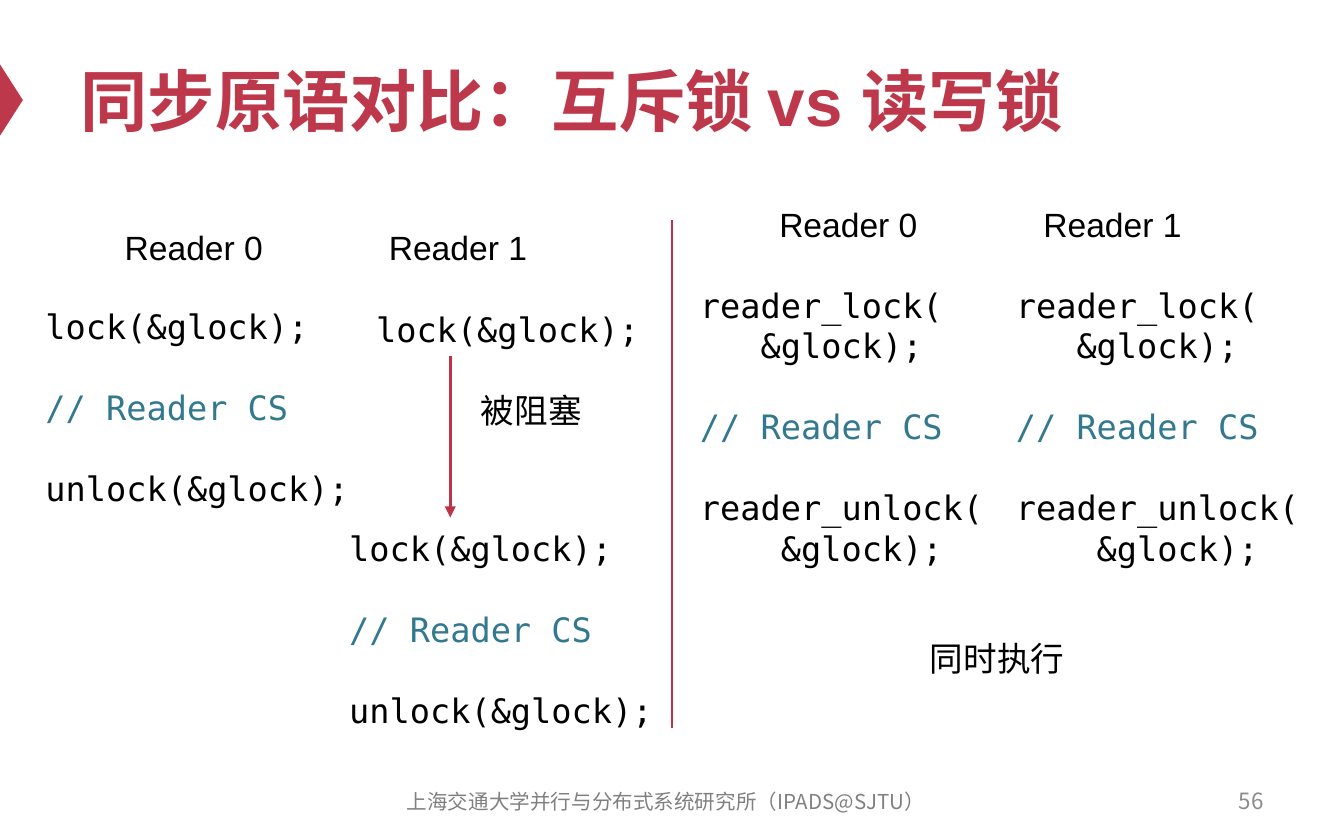
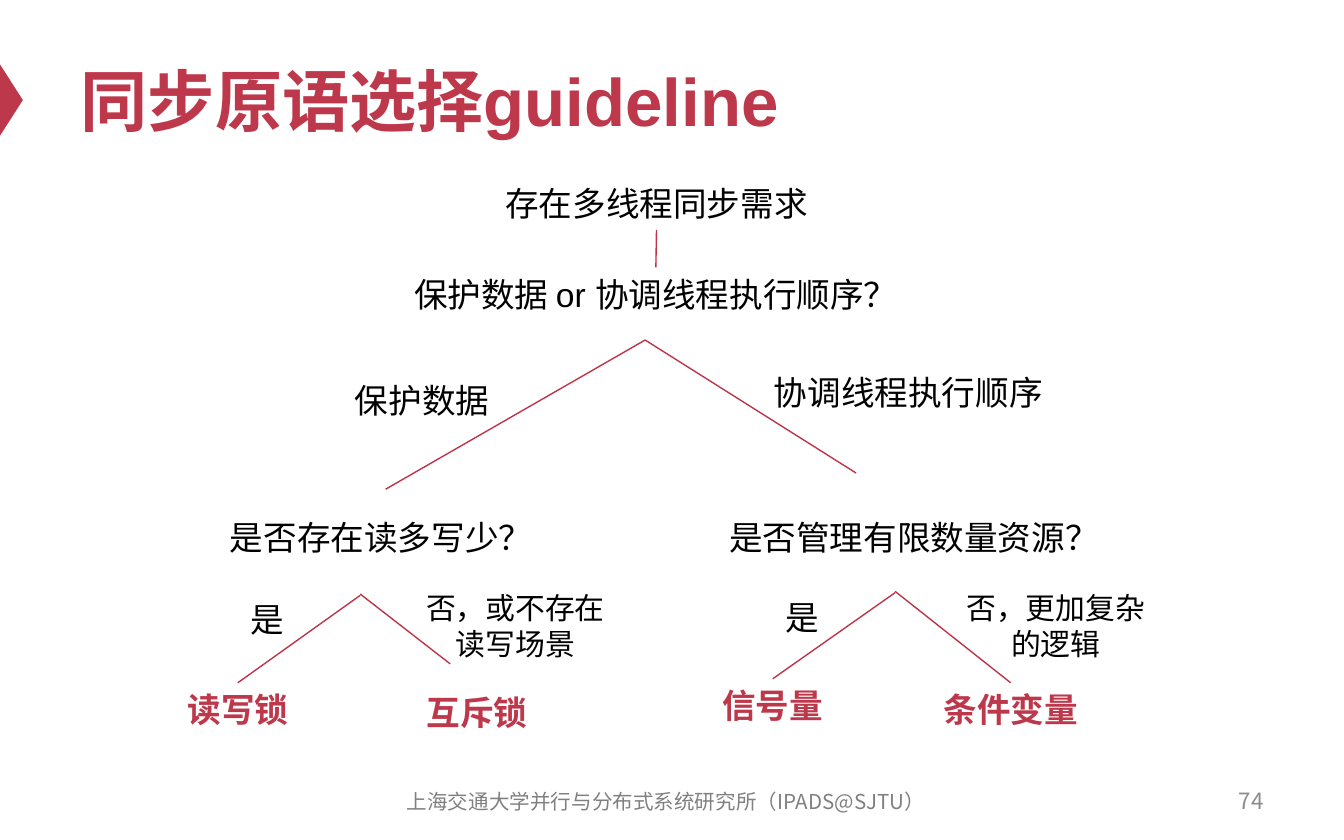
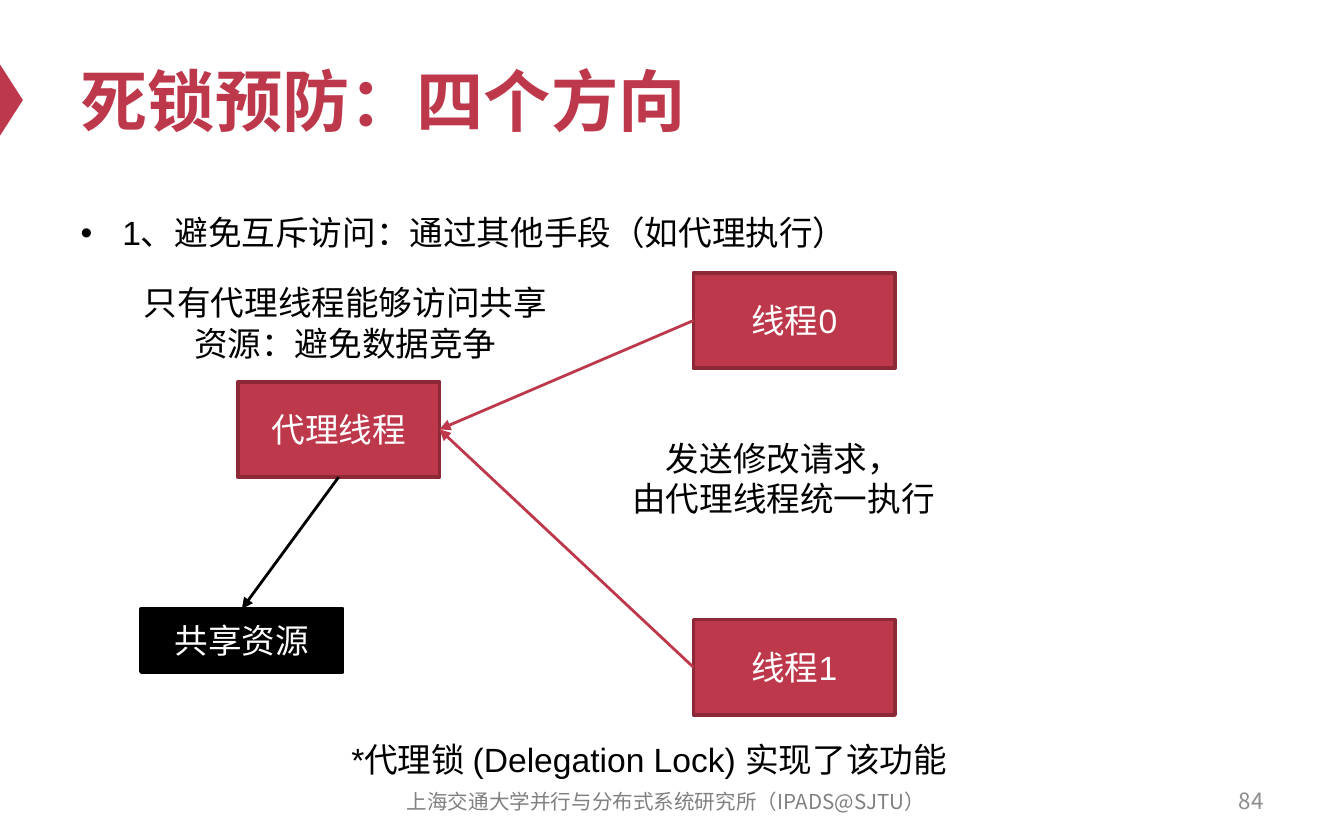
from lxml import etree
from pptx import Presentation
from pptx.dml.color import RGBColor
from pptx.enum.shapes import MSO_CONNECTOR, MSO_SHAPE
from pptx.enum.text import MSO_ANCHOR, MSO_AUTO_SIZE, PP_ALIGN
from pptx.oxml.ns import qn
from pptx.util import Inches, Pt

WIDTH, HEIGHT = Inches(10), Inches(6.25)
CELL = WIDTH / 100

LEFT, CENTER, RIGHT = PP_ALIGN.LEFT, PP_ALIGN.CENTER, PP_ALIGN.RIGHT
TOP, MIDDLE = MSO_ANCHOR.TOP, MSO_ANCHOR.MIDDLE
FIXED, GROW = MSO_AUTO_SIZE.NONE, MSO_AUTO_SIZE.SHAPE_TO_FIT_TEXT
STRAIGHT = MSO_CONNECTOR.STRAIGHT
RECTANGLE, TRIANGLE = MSO_SHAPE.RECTANGLE, MSO_SHAPE.ISOSCELES_TRIANGLE
TOP_SIDE, LEFT_SIDE, BOTTOM_SIDE, RIGHT_SIDE = range(4)

RED, DARK_RED, LINE_RED = "BE384B", "8D2937", "BD3347"
BLACK, WHITE, COMMENT = "000000", "FFFFFF", "32788E"
FOOTER_GRAY, NUMBER_GRAY = "808080", "8C8C8C"
SANS, MONO, CHINESE = "Arial", "DejaVu Sans Mono", "Noto Sans CJK SC"

TITLE_AREA = (5, 2.5, 90, 9.8)
FOOTER_AREA = (27.9, 58, 43.3, 3.3)
NUMBER_AREA = (71.7, 57.9, 23.3, 3.3)
FOOTER = "上海交通大学并行与分布式系统研究所（IPADS@SJTU）"

MUTEX_CODE = "lock(&glock);\n\n// Reader CS\n\nunlock(&glock);"
READER_CODE = ("reader_lock(\n   &glock);\n\n// Reader CS\n\n"
               "reader_unlock(\n    &glock);")


def color(value):
    return RGBColor.from_string(value)


def grid(*cells):
    return [round(cell * CELL) for cell in cells]


def place(shape, area):
    shape.left, shape.top, shape.width, shape.height = grid(*area)


def write(shape, text, size=18, font=SANS, ink=BLACK, bold=False, align=LEFT,
          anchor=TOP, wrap=True, fit=GROW, gap=0, spacing=None, bullet=None):
    frame = shape.text_frame
    frame.word_wrap = wrap
    frame.auto_size = fit
    frame.vertical_anchor = anchor
    para = None
    for block_number, block in enumerate(text.split("\n\n")):
        for line_number, line in enumerate(block.split("\n")):
            para = frame.add_paragraph() if para else frame.paragraphs[0]
            para.alignment = align
            para.space_before = Pt(gap if block_number and not line_number else 0)
            if spacing:
                para.line_spacing = spacing
            if bullet:
                add_bullet(para, bullet)
            span = para.add_run()
            span.text = line
            span.font.size = Pt(size)
            span.font.name = font
            span.font.bold = bold
            span.font.color.rgb = color(COMMENT if line.startswith("//") else ink)
            east_asian = etree.Element(qn("a:ea"), typeface=CHINESE)
            span.font._element.find(qn("a:latin")).addnext(east_asian)


def add_bullet(para, symbol):
    properties = para._p.get_or_add_pPr()
    indent = Inches(0.31)
    properties.set("marL", str(indent))
    properties.set("indent", str(-indent))
    etree.SubElement(properties, qn("a:buFont"), typeface=SANS)
    etree.SubElement(properties, qn("a:buChar"), char=symbol)


def add_text(page, text, area, **style):
    box = page.shapes.add_textbox(*grid(*area))
    write(box, text, **style)
    return box


def add_label(page, text, area, **style):
    return add_text(page, text, area, align=CENTER, **style)


def add_caption(page, text, area, **style):
    return add_text(page, text, area, wrap=False, **style)


def add_code(page, text, area):
    return add_caption(page, text, area, font=MONO, gap=21.8)


def add_block(page, text, area, fill=RED, edge=DARK_RED):
    block = page.shapes.add_shape(RECTANGLE, *grid(*area))
    block.shadow.inherit = False
    block.fill.solid()
    block.fill.fore_color.rgb = color(fill)
    block.line.color.rgb = color(edge)
    block.line.width = Pt(2)
    write(block, text, ink=WHITE, align=CENTER, anchor=MIDDLE, fit=FIXED)
    return block


def add_link(page, start, end, ink=LINE_RED, weight=0.75, arrow=False):
    link = page.shapes.add_connector(STRAIGHT, 0, 0, 0, 0)
    (link.begin_x, link.begin_y), (link.end_x, link.end_y) = [
        grid(*point) if isinstance(point[0], (int, float)) else (0, 0)
        for point in (start, end)]
    for point, connect in ((start, link.begin_connect), (end, link.end_connect)):
        if not isinstance(point[0], (int, float)):
            connect(*point)
    link.line.color.rgb = color(ink)
    link.line.width = Pt(weight)
    if arrow:
        etree.SubElement(link.line._get_or_add_ln(), qn("a:tailEnd"), type="triangle")
    etree.SubElement(link.element.spPr, qn("a:effectLst"))


def add_page(deck, title, number, layout="Title Only"):
    page = deck.slides.add_slide(deck.slide_layouts.get_by_name(layout))
    place(page.shapes.title, TITLE_AREA)
    write(page.shapes.title, title, size=36, ink=RED, bold=True,
          anchor=MIDDLE, fit=FIXED)
    add_label(page, FOOTER, FOOTER_AREA, size=11, font=CHINESE,
              ink=FOOTER_GRAY, anchor=MIDDLE, fit=FIXED)
    add_text(page, str(number), NUMBER_AREA, size=12, font=CHINESE,
             ink=NUMBER_GRAY, align=RIGHT, anchor=MIDDLE, fit=FIXED)
    return page


def add_master_marker(deck, page):
    marker = page.shapes.add_shape(TRIANGLE, *grid(-1.8, 6.6, 5.3, 1.7))
    marker.rotation = 90
    marker.shadow.inherit = False
    marker.fill.solid()
    marker.fill.fore_color.rgb = color(RED)
    marker.line.fill.background()
    deck.slide_master.shapes.element.insert(2, marker.element)


def build_lock_comparison(deck):
    page = add_page(deck, "同步原语对比：互斥锁 vs 读写锁", 56)
    add_master_marker(deck, page)
    add_link(page, (50, 54.2), (50, 16.4), weight=1.5)
    for left, top in ((8.3, 16.4), (57, 14.7)):
        for reader in range(2):
            add_caption(page, f"Reader {reader}", (left + 19.65 * reader, top, 12.4, 4))
    for left, top in ((2.4, 22.3), (25, 38.8)):
        add_code(page, MUTEX_CODE, (left, top, 24.6, 16.2))
    add_code(page, "lock(&glock);", (27, 22.5, 21.6, 4))
    add_link(page, (33.5, 26.5), (33.5, 38.5), weight=1.5, arrow=True)
    add_caption(page, "被阻塞", (34.8, 28.5, 9.6, 4))
    for left in (51.1, 74.6):
        add_code(page, READER_CODE, (left, 20.7, 23.1, 22.2))
    add_caption(page, "同时执行", (68.2, 47, 12.1, 4))


def add_decision(page, question, area, fork, yes, no, no_area, no_end=None):
    add_label(page, question, area)
    x, y = fork
    add_label(page, "是", (x - 13.8, y - 0.2, 13.8, 4))
    add_label(page, no, no_area, size=16)
    choices = [add_label(page, text, (left, top, 13.8, 4), ink=RED, bold=True)
               for text, left, top in (yes, no_end[0])]
    add_link(page, fork, (choices[0], TOP_SIDE))
    add_link(page, (x, y - 0.1), no_end[1] or (choices[1], TOP_SIDE))


def build_guideline(deck):
    page = add_page(deck, "同步原语选择guideline", 74)
    need = add_label(page, "存在多线程同步需求", (33.5, 13.1, 30.7, 4))
    goal = add_label(page, "保护数据 or 协调线程执行顺序？", (29.5, 19.9, 38.6, 4))
    add_link(page, (need, BOTTOM_SIDE), (goal, TOP_SIDE))
    for end in ((28.7, 36.4), (63.7, 35.2)):
        add_link(page, (48, 25.3), end)
    add_label(page, "保护数据", (24.5, 27.8, 13.8, 4))
    add_caption(page, "协调线程执行顺序", (56.6, 27.2, 22.2, 4))
    add_decision(page, "是否存在读多写少？", (15.4, 38, 23.4, 4), (26.8, 44.3),
                 ("读写锁", 10.8, 50.8), "否，或不存在读写场景",
                 (30.7, 43.4, 15.3, 6.4), (("互斥锁", 28.6, 51), (33.5, 49.4)))
    add_decision(page, "是否管理有限数量资源？", (52.4, 38, 28.7, 4), (66.6, 44.1),
                 ("信号量", 50.6, 50.5), "否，更加复杂的逻辑",
                 (70.9, 43.4, 15.3, 6.4), (("条件变量", 68.3, 50.8), None))


def build_deadlock_prevention(deck):
    page = add_page(deck, "死锁预防：四个方向", 84, "Title and Content")
    body = page.placeholders[1]
    place(body, (5, 12.3, 71.5, 6.1))
    write(body, "1、避免互斥访问：通过其他手段（如代理执行）", spacing=2.0, bullet="•")
    delegate = add_block(page, "代理线程", (17.7, 28.4, 15, 7.1))
    resource = add_block(page, "共享资源", (10.5, 45.3, 15, 4.7), BLACK, BLACK)
    add_link(page, (delegate, BOTTOM_SIDE), (resource, TOP_SIDE),
             ink=BLACK, weight=1.5, arrow=True)
    for number, top in enumerate((20.3, 46.1)):
        thread = add_block(page, f"线程{number}", (51.6, top, 15, 7.1))
        add_link(page, (thread, LEFT_SIDE), (delegate, RIGHT_SIDE),
                 ink=RED, weight=1.5, arrow=True)
    add_label(page, "只有代理线程能够访问共享资源：避免数据竞争", (9.5, 20.5, 32.4, 7.1))
    add_label(page, "发送修改请求，\n由代理线程统一执行", (42.1, 32.1, 32.4, 7.1))
    add_label(page, "*代理锁 (Delegation Lock) 实现了该功能", (22.1, 54.5, 52.4, 4))


def main():
    deck = Presentation()
    deck.slide_width, deck.slide_height = WIDTH, HEIGHT
    build_lock_comparison(deck)
    build_guideline(deck)
    build_deadlock_prevention(deck)
    deck.save("out.pptx")


if __name__ == "__main__":
    main()
